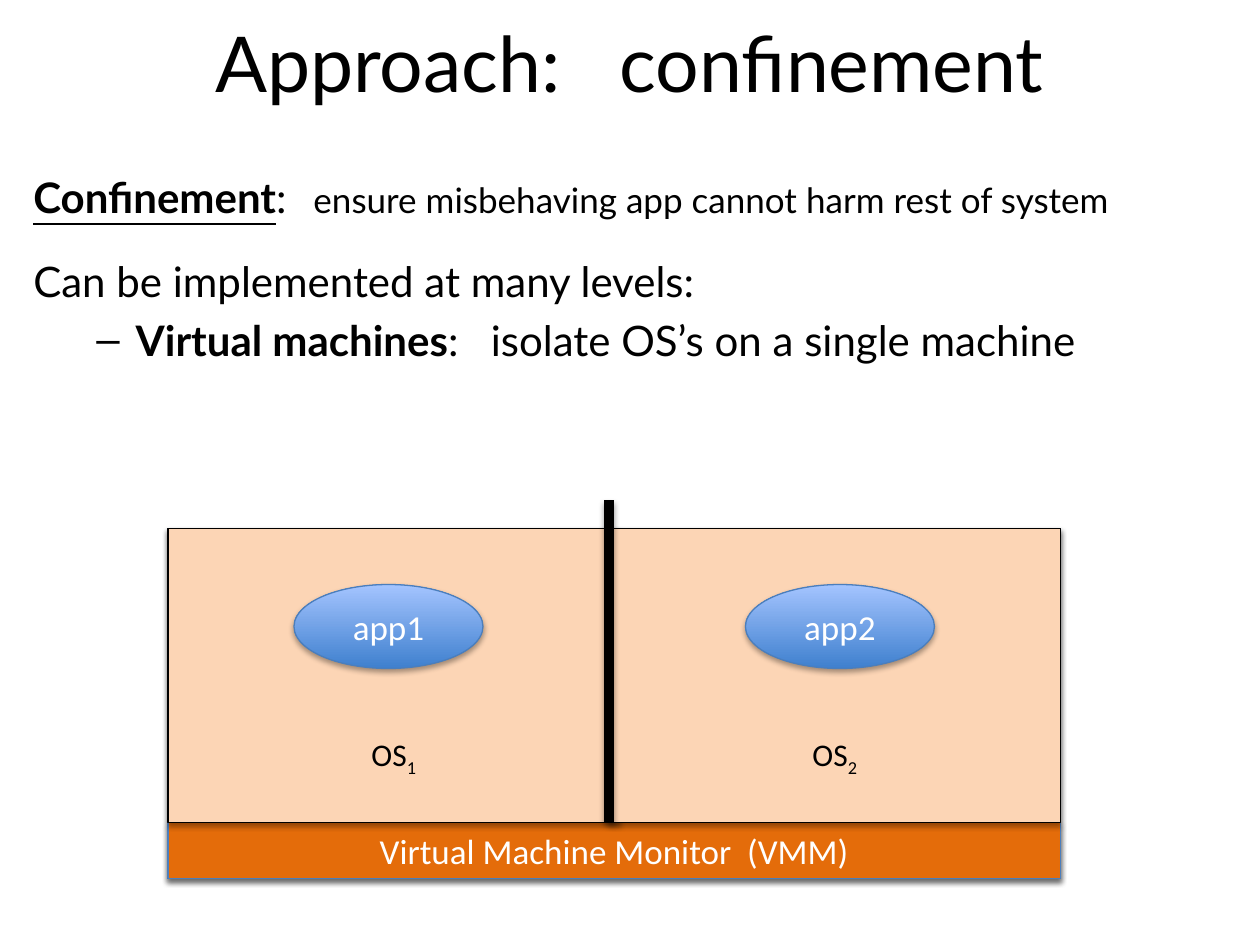
"""Build a slide on confinement with a virtual machine diagram."""
from lxml import etree
from pptx import Presentation
from pptx.dml.color import RGBColor
from pptx.enum import shapes, text
from pptx.oxml import ns
from pptx.util import Pt

BLACK = RGBColor(0x00, 0x00, 0x00)
WHITE = RGBColor(0xFF, 0xFF, 0xFF)
PEACH = RGBColor(0xFC, 0xD5, 0xB5)
ORANGE = RGBColor(0xE4, 0x6C, 0x0A)
EDGE = RGBColor(0x4B, 0x7E, 0xBC)
BLUES = (RGBColor(0x3F, 0x80, 0xCE), RGBColor(0xA4, 0xC4, 0xFF))


def add_run(p, content, size=24, font="Lato", color=BLACK, bold=False, underline=False, base=None):
    r = p.add_run()
    r.text = content
    r.font.size = Pt(size)
    r.font.name = font
    r.font.color.rgb = color
    r.font.bold = bold
    r.font.underline = underline
    if base:
        r.font._element.set("baseline", str(base))


def style(sp, line=EDGE, width=0.75, fill=None, alpha=35, blur=3.15, dist=1.8):
    if sp.shape_type != shapes.MSO_SHAPE_TYPE.LINE:
        if fill:
            sp.fill.solid()
            sp.fill.fore_color.rgb = fill
        else:
            sp.fill.gradient()
            sp.fill.gradient_angle = 90
            for stop, color in zip(sp.fill.gradient_stops, BLUES):
                stop.color.rgb = color
    sp.line.color.rgb = line
    sp.line.width = Pt(width)
    effects = etree.SubElement(sp._element.spPr, ns.qn("a:effectLst"))
    shadow = etree.SubElement(effects, ns.qn("a:outerShdw"), blurRad=str(Pt(blur)),
                              dist=str(Pt(dist)), dir="5400000", rotWithShape="0")
    color = etree.SubElement(shadow, ns.qn("a:srgbClr"), val="000000")
    etree.SubElement(color, ns.qn("a:alpha"), val=str(alpha * 1000))


prs = Presentation()
prs.slide_width, prs.slide_height = Pt(720), Pt(540)
s = prs.slides.add_slide(prs.slide_layouts[6])

title = s.shapes.add_textbox(Pt(36), Pt(-10), Pt(648), Pt(90))
tf = title.text_frame
tf.word_wrap = True
tf.vertical_anchor = text.MSO_ANCHOR.MIDDLE
p = tf.paragraphs[0]
p.alignment = text.PP_ALIGN.CENTER
add_run(p, "Approach:   confinement", size=44)

body = s.shapes.add_textbox(Pt(12), Pt(94.3), Pt(684), Pt(444))
tf = body.text_frame
tf.word_wrap = True
p = tf.paragraphs[0]
add_run(p, "Confinement", bold=True, underline=True)
add_run(p, ":")
add_run(p, "   ensure misbehaving app cannot harm rest of system", size=20)

p = tf.add_paragraph()
p.space_before = Pt(19.2)
add_run(p, "Can be implemented at many levels:")

p = tf.add_paragraph()
p.level = 1
p.space_before = Pt(4.8)
pPr = p._p.get_or_add_pPr()
pPr.set("marL", str(Pt(58.5)))
pPr.set("indent", str(Pt(-22.5)))
etree.SubElement(pPr, ns.qn("a:buFont"), typeface="Arial")
etree.SubElement(pPr, ns.qn("a:buChar"), char="–")
add_run(p, "Virtual machines", bold=True)
add_run(p, ":   isolate OS’s on a single machine")

machine = s.shapes.add_shape(shapes.MSO_SHAPE.RECTANGLE, Pt(96), Pt(302), Pt(510), Pt(200))
style(machine)

vmm = s.shapes.add_shape(shapes.MSO_SHAPE.RECTANGLE, Pt(96), Pt(470), Pt(510), Pt(32))
style(vmm, fill=ORANGE)
vmm.text_frame.vertical_anchor = text.MSO_ANCHOR.MIDDLE
p = vmm.text_frame.paragraphs[0]
p.alignment = text.PP_ALIGN.CENTER
add_run(p, "Virtual Machine Monitor  (VMM)", size=20, font="Calibri", color=WHITE)

for i, left in enumerate((96, 348), 1):
    panel = s.shapes.add_shape(shapes.MSO_SHAPE.RECTANGLE, Pt(left), Pt(302), Pt(258), Pt(168))
    style(panel, line=BLACK, fill=PEACH)
    tf = panel.text_frame
    tf.vertical_anchor = text.MSO_ANCHOR.BOTTOM
    tf.margin_bottom = Pt(25.6)
    p = tf.paragraphs[0]
    p.alignment = text.PP_ALIGN.CENTER
    add_run(p, "OS", size=18, font="Calibri")
    add_run(p, str(i), size=18, font="Calibri", base=-25000)

wall = s.shapes.add_connector(shapes.MSO_CONNECTOR.STRAIGHT, Pt(348), Pt(286), Pt(348), Pt(470))
style(wall, line=BLACK, width=6, alpha=38, dist=1.6)

for i, left in enumerate((168, 426), 1):
    app = s.shapes.add_shape(shapes.MSO_SHAPE.OVAL, Pt(left), Pt(334), Pt(108), Pt(48))
    style(app)
    app.text_frame.vertical_anchor = text.MSO_ANCHOR.MIDDLE
    p = app.text_frame.paragraphs[0]
    p.alignment = text.PP_ALIGN.CENTER
    add_run(p, f"app{i}", size=20, font="Calibri", color=WHITE)

prs.save("out.pptx")
